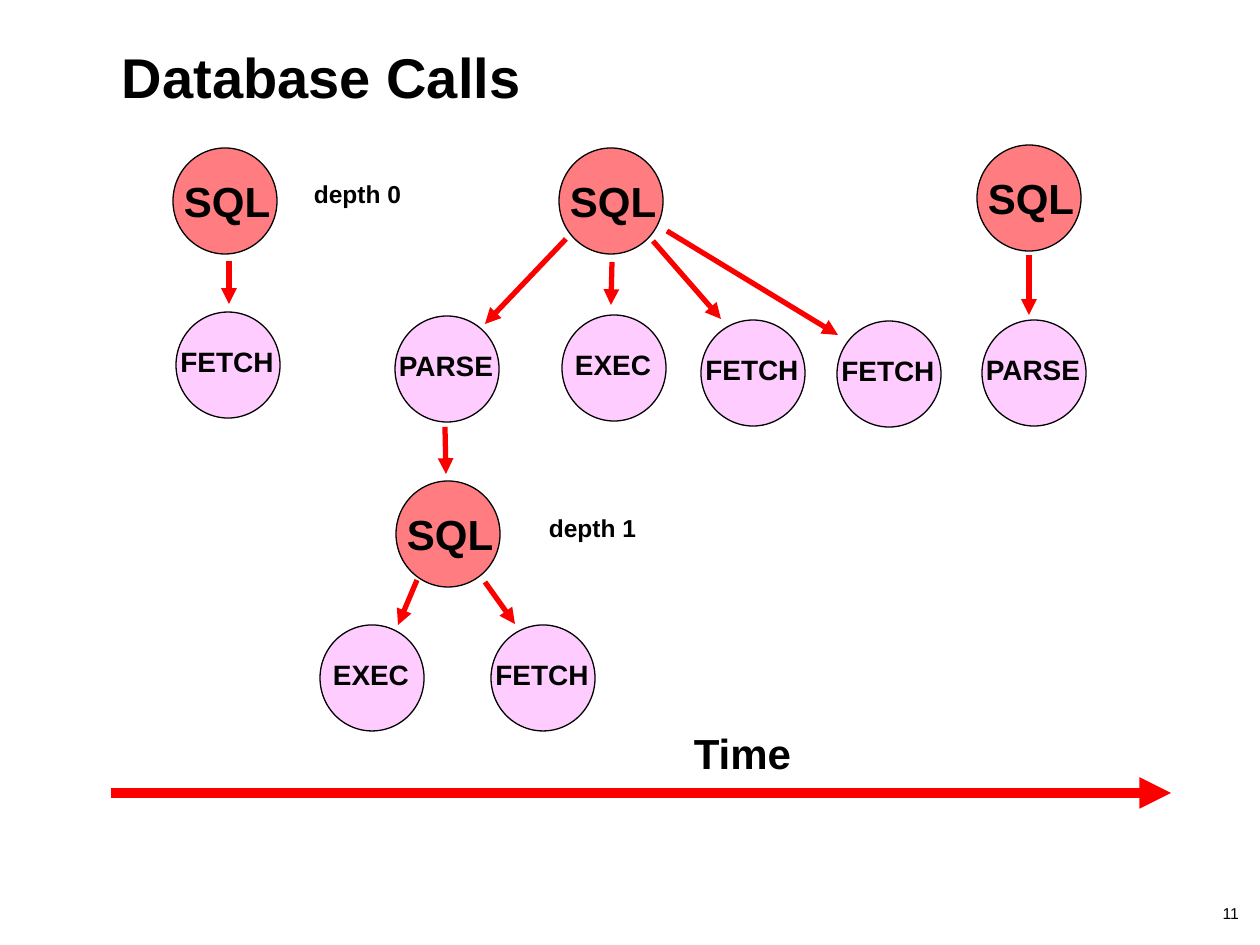
import pptx
import pptx.dml.color
import pptx.enum.shapes
import pptx.enum.text
import pptx.util
from pptx.oxml.ns import qn
from lxml import etree

PX = 914400 / 126
FONT = "Arial"
COLORS = {"text": "000000", "sql": "FF7C80", "call": "FFCCFF", "arrow": "FC0000"}
ALIGN = pptx.enum.text.PP_ALIGN
ANCHOR = pptx.enum.text.MSO_ANCHOR
AUTO = pptx.enum.text.MSO_AUTO_SIZE

NODE_W, NODE_H = 104, 106
LABEL_W = 132

SQLS = [(173, 148), (559, 148), (977, 145), (396, 481)]
CALLS = [
    ("FETCH", 176, 312), ("PARSE", 395, 316), ("EXEC", 562, 315),
    ("FETCH", 701, 320), ("FETCH", 837, 321), ("PARSE", 982, 320),
    ("EXEC", 320, 625), ("FETCH", 491, 625),
]
CALL_ARROWS = [
    (229, 261, 229, 304), (612, 262, 611, 305), (445, 427, 446, 474),
    (566, 239, 485, 324), (653, 241, 721, 319), (667, 231, 838, 335),
    (485, 582, 515, 624), (417, 580, 398, 625), (1029, 255, 1029, 315),
]


def px(n):
    """Turn pixels into EMU."""
    return pptx.util.Emu(round(n * PX))


def rgb(name):
    """Look up a named colour."""
    return pptx.dml.color.RGBColor.from_string(COLORS[name])


def write(tf, text, size, align, bold=True):
    """Write one formatted run into a text frame."""
    p = tf.paragraphs[0]
    p.alignment = align
    r = p.add_run()
    r.text = text
    r.font.name = FONT
    r.font.size = pptx.util.Pt(size)
    r.font.bold = bold
    r.font.color.rgb = rgb("text")
    return p


def clear_insets(tf):
    """Set all four text insets to zero."""
    tf.margin_left = tf.margin_top = tf.margin_right = tf.margin_bottom = 0


def add_title(s, text, x, y, w, h):
    """Place and format the title placeholder."""
    sp = s.shapes.title
    sp.left, sp.top, sp.width, sp.height = px(x), px(y), px(w), px(h)
    tf = sp.text_frame
    tf.auto_size = AUTO.NONE
    tf.vertical_anchor = ANCHOR.TOP
    clear_insets(tf)
    write(tf, text, 32, ALIGN.LEFT)


def add_label(s, text, x, y, w, h, size):
    """Add a centred bold label."""
    tf = s.shapes.add_textbox(px(x), px(y), px(w), px(h)).text_frame
    tf.word_wrap = True
    tf.auto_size = AUTO.SHAPE_TO_FIT_TEXT
    write(tf, text, size, ALIGN.CENTER).line_spacing = 0.9


def add_page_number(s, text, x, y, w, h):
    """Add the small right-aligned page number."""
    tf = s.shapes.add_textbox(px(x), px(y), px(w), px(h)).text_frame
    tf.word_wrap = True
    tf.vertical_anchor = ANCHOR.MIDDLE
    clear_insets(tf)
    write(tf, text, 9, ALIGN.RIGHT, bold=False)


def add_node(s, x, y, fill):
    """Add an outlined circle."""
    oval = pptx.enum.shapes.MSO_SHAPE.OVAL
    sp = s.shapes.add_shape(oval, px(x), px(y), px(NODE_W), px(NODE_H))
    sp.shadow.inherit = False
    sp.fill.solid()
    sp.fill.fore_color.rgb = rgb(fill)
    sp.line.color.rgb = rgb("text")
    sp.line.width = pptx.util.Pt(0.75)


def add_sql(s, x, y):
    """Add a SQL statement node with its label."""
    add_node(s, x, y, "sql")
    add_label(s, "SQL", x - 12, y + 27, LABEL_W, 58, 24)


def add_call(s, text, x, y):
    """Add a database call node with its label."""
    add_node(s, x, y, "call")
    add_label(s, text, x - 15, y + 30, LABEL_W, 43, 16)


def add_arrow(s, x1, y1, x2, y2, width):
    """Add a straight line with a triangle at its end."""
    straight = pptx.enum.shapes.MSO_CONNECTOR.STRAIGHT
    c = s.shapes.add_connector(straight, px(x1), px(y1), px(x2), px(y2))
    c.line.color.rgb = rgb("arrow")
    c.line.width = pptx.util.Pt(width)
    etree.SubElement(c.line._get_or_add_ln(), qn("a:tailEnd"), type="triangle")
    etree.SubElement(c._element.spPr, qn("a:effectLst"))


def main():
    """Build the slide and save it."""
    prs = pptx.Presentation()
    prs.slide_width, prs.slide_height = px(1260), px(945)
    s = prs.slides.add_slide(prs.slide_layouts[5])

    add_title(s, "Database Calls", 122, 42, 1045, 130)
    add_page_number(s, "11", 21, 903, 1218, 21)
    add_arrow(s, 111, 793, 1171, 793, 6)
    add_label(s, "Time", 515, 727, 455, 58, 24)

    for x, y in SQLS:
        add_sql(s, x, y)
    for text, x, y in CALLS:
        add_call(s, text, x, y)
    for ends in CALL_ARROWS:
        add_arrow(s, *ends, 3)

    add_label(s, "depth 0", 292, 176, 131, 39, 14)
    add_label(s, "depth 1", 527, 510, 131, 39, 14)

    prs.save("out.pptx")


if __name__ == "__main__":
    main()
